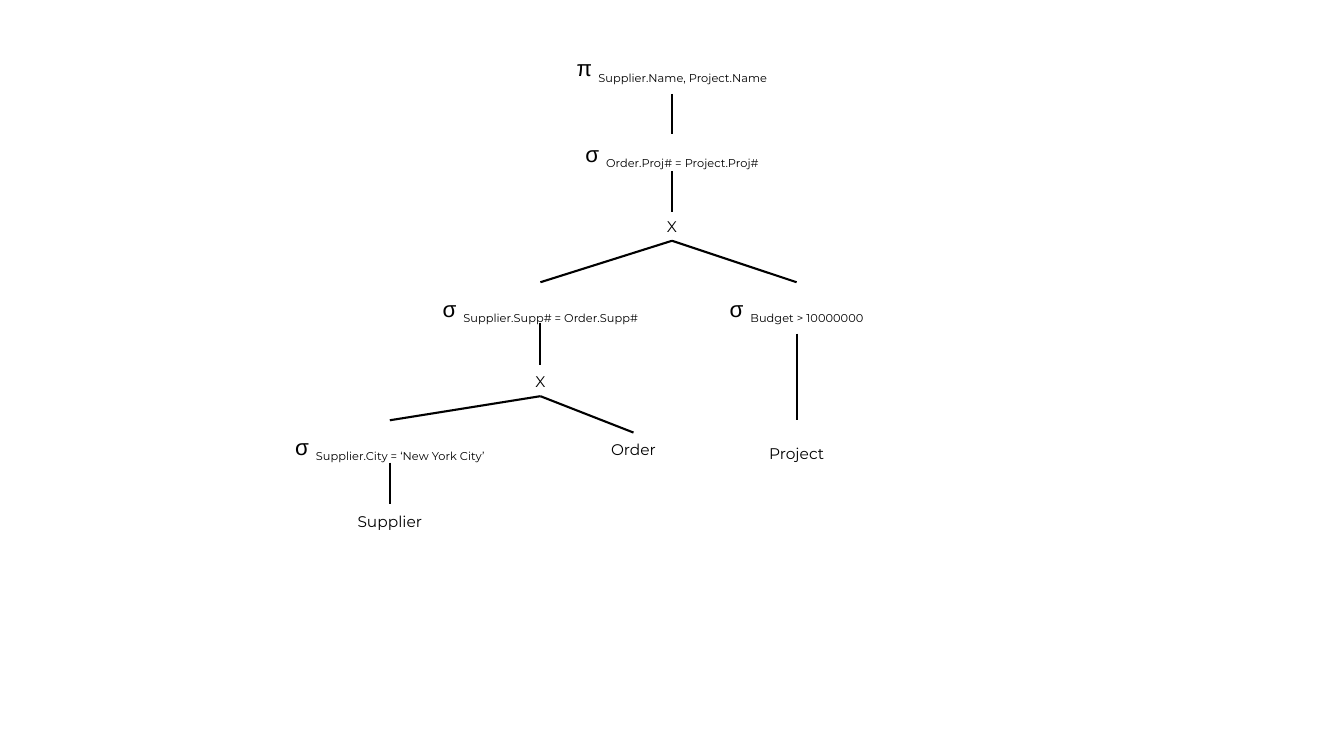
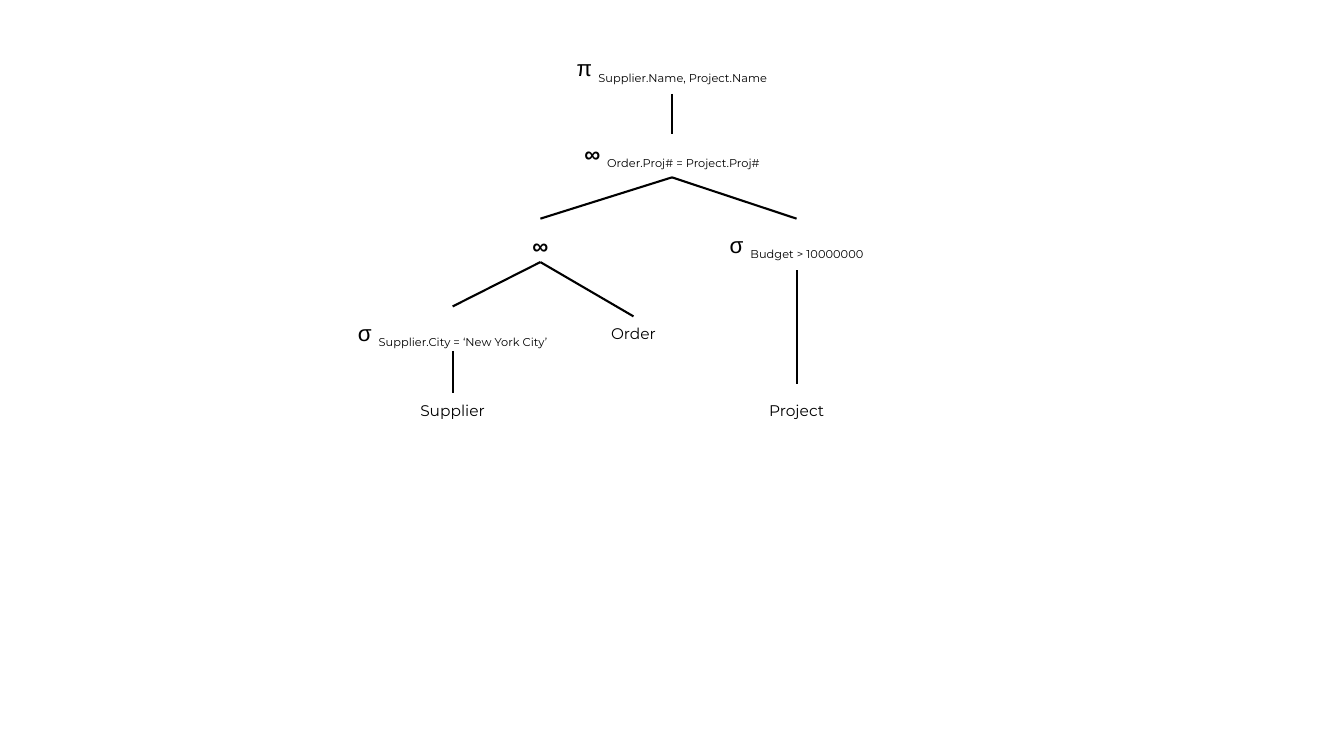
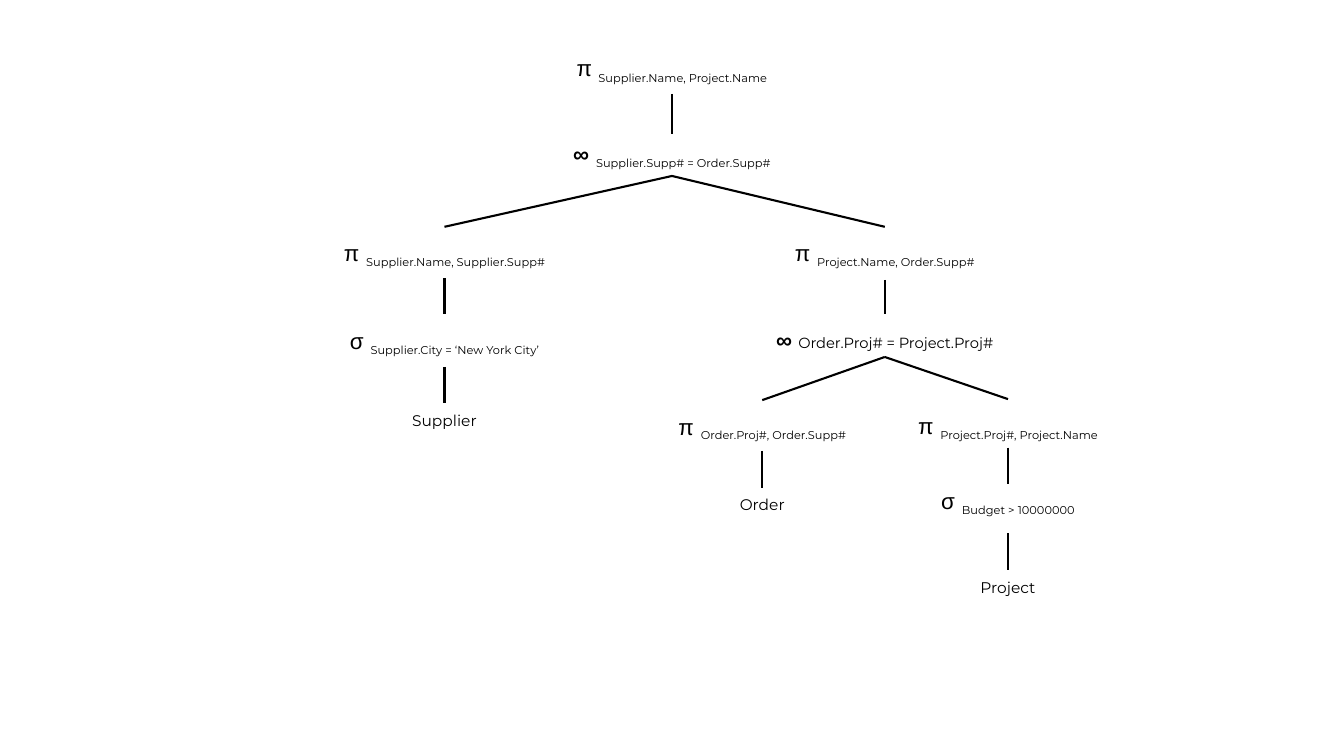
from lxml.etree import SubElement
from pptx import Presentation
from pptx.dml.color import RGBColor
from pptx.enum.shapes import MSO_CONNECTOR as Connector
from pptx.enum.text import MSO_AUTO_SIZE as AutoSize, PP_ALIGN as Align
from pptx.oxml.ns import qn
from pptx.util import Pt

BLACK = RGBColor(0, 0, 0)
WHITE = RGBColor(255, 255, 255)
SYMBOL_FONT = "Arial"
LABEL_FONT = "Montserrat"
NARROW, WIDE = 187, 480
CENTER, LEFT, RIGHT = 480, 386, 569
PROJECT, SELECT, JOIN = "π", "σ", "∞"
ORDER_PROJECT = "Order.Proj# = Project.Proj#"
SUPPLIER_ORDER = "Supplier.Supp# = Order.Supp#"
NEW_YORK = "Supplier.City = ‘New York City’"
BUDGET = "Budget > 10000000"


def add_centered_box(slide, center, top, width, height, spacing=1.15):
    box = slide.shapes.add_textbox(Pt(center - width / 2), Pt(top), Pt(width), Pt(height))
    box.text_frame.word_wrap = True
    box.text_frame.auto_size = AutoSize.SHAPE_TO_FIT_TEXT
    paragraph = box.text_frame.paragraphs[0]
    paragraph.alignment = Align.CENTER
    paragraph.line_spacing = spacing
    return paragraph


def add_text(paragraph, text, size, font=LABEL_FONT, bold=False, baseline=0):
    run = paragraph.add_run()
    run.text = text
    run.font.size = Pt(size)
    run.font.name = font
    run.font.bold = bold
    run.font.color.rgb = BLACK
    if baseline:
        run._r.get_or_add_rPr().set("baseline", str(baseline * 1000))


def add_symbol(paragraph, symbol):
    add_text(paragraph, symbol, 16, SYMBOL_FONT, bold=symbol.startswith(JOIN))


def add_operator(slide, center, top, symbol, condition, width=NARROW):
    paragraph = add_centered_box(slide, center, top, width, 30)
    add_symbol(paragraph, symbol)
    add_text(paragraph, " ", 18, SYMBOL_FONT)
    add_text(paragraph, condition, 14, baseline=-25)


def add_relation(slide, center, top, name, width=NARROW):
    add_text(add_centered_box(slide, center, top, width, 21.6), name, 11)


def add_branches(slide, start, *ends):
    for end in ends:
        line = slide.shapes.add_connector(Connector.STRAIGHT, *map(Pt, start + end))
        line.line.color.rgb = BLACK
        line.line.width = Pt(1.5)
        SubElement(line._element.spPr, qn("a:effectLst"))


def add_stem(slide, center, top, bottom):
    add_branches(slide, (center, top), (center, bottom))


def add_tree_slide(presentation):
    slide = presentation.slides.add_slide(presentation.slide_layouts[6])
    slide.background.fill.solid()
    slide.background.fill.fore_color.rgb = WHITE
    root = add_centered_box(slide, CENTER, 35.3, 178.6, 26.6, spacing=1.0)
    add_symbol(root, PROJECT + " ")
    add_text(root, "Supplier.Name, Project.Name", 14, baseline=-30)
    add_stem(slide, CENTER, 67, 96)
    return slide


def build_product_tree(presentation):
    slide = add_tree_slide(presentation)
    supplier, order = 278.5, 452.5
    add_operator(slide, CENTER, 91.4, SELECT, ORDER_PROJECT, WIDE)
    add_stem(slide, CENTER, 122.4, 151.2)
    add_relation(slide, CENTER, 149.8, "X", WIDE)
    add_branches(slide, (CENTER, 172), (LEFT, 201.6), (RIGHT, 201.6))
    add_operator(slide, LEFT, 201.6, SELECT, SUPPLIER_ORDER)
    add_operator(slide, RIGHT, 201.6, SELECT, BUDGET)
    add_stem(slide, LEFT, 231, 260.6)
    add_relation(slide, LEFT, 260.6, "X", WIDE)
    add_branches(slide, (LEFT, 283), (supplier, 300.2), (order, 309))
    add_operator(slide, supplier, 300.2, SELECT, NEW_YORK)
    add_relation(slide, order, 309, "Order")
    add_stem(slide, supplier, 330.5, 360)
    add_relation(slide, supplier, 360, "Supplier")
    add_stem(slide, RIGHT, 238.3, 300.2)
    add_relation(slide, RIGHT, 311.8, "Project")


def build_join_tree(presentation):
    slide = add_tree_slide(presentation)
    supplier, order = 323.3, 452.5
    add_operator(slide, CENTER, 91.4, JOIN, ORDER_PROJECT, WIDE)
    add_branches(slide, (CENTER, 126.7), (LEFT, 156.2), (RIGHT, 156.2))
    add_symbol(add_centered_box(slide, LEFT, 159.1, WIDE, 28), JOIN)
    add_operator(slide, RIGHT, 156.2, SELECT, BUDGET)
    add_branches(slide, (LEFT, 187.2), (supplier, 218.9), (order, 226))
    add_operator(slide, supplier, 218.9, SELECT, NEW_YORK)
    add_relation(slide, order, 226, "Order")
    add_stem(slide, supplier, 250.6, 280.8)
    add_relation(slide, supplier, 280.8, "Supplier")
    add_stem(slide, RIGHT, 193, 274.3)
    add_relation(slide, RIGHT, 280.8, "Project")


def build_projection_tree(presentation):
    slide = add_tree_slide(presentation)
    supplier, join, order, project = 317.5, 632, 544.5, 720
    add_operator(slide, CENTER, 91.4, JOIN, SUPPLIER_ORDER, WIDE)
    add_branches(slide, (CENTER, 125.7), (supplier, 162), (join, 162))

    add_operator(slide, supplier, 162, PROJECT, "Supplier.Name, Supplier.Supp#")
    add_stem(slide, supplier, 198.7, 224)
    add_operator(slide, supplier, 224.6, SELECT, NEW_YORK)
    add_stem(slide, supplier, 262, 288)
    add_relation(slide, supplier, 288, "Supplier")

    add_operator(slide, join, 162, PROJECT, "Project.Name, Order.Supp#")
    add_stem(slide, join, 200, 224.6)
    join_label = add_centered_box(slide, join, 226.8, NARROW, 27.4)
    add_symbol(join_label, JOIN + " ")
    add_text(join_label, ORDER_PROJECT, 10.5)
    add_branches(slide, (join, 255), (order, 285.8), (project, 285.1))

    add_operator(slide, order, 285.8, PROJECT, "Order.Proj#, Order.Supp#")
    add_stem(slide, order, 322, 348.5)
    add_relation(slide, order, 348.5, "Order")

    add_operator(slide, project, 285.1, PROJECT, "Project.Proj#, Project.Name")
    add_stem(slide, project, 319.7, 345.6)
    add_operator(slide, project, 339.1, SELECT, BUDGET)
    add_stem(slide, project, 381, 407.5)
    add_relation(slide, project, 407.5, "Project")


def main():
    presentation = Presentation()
    presentation.slide_width = Pt(960)
    presentation.slide_height = Pt(540)
    build_product_tree(presentation)
    build_join_tree(presentation)
    build_projection_tree(presentation)
    presentation.save("out.pptx")


main()
